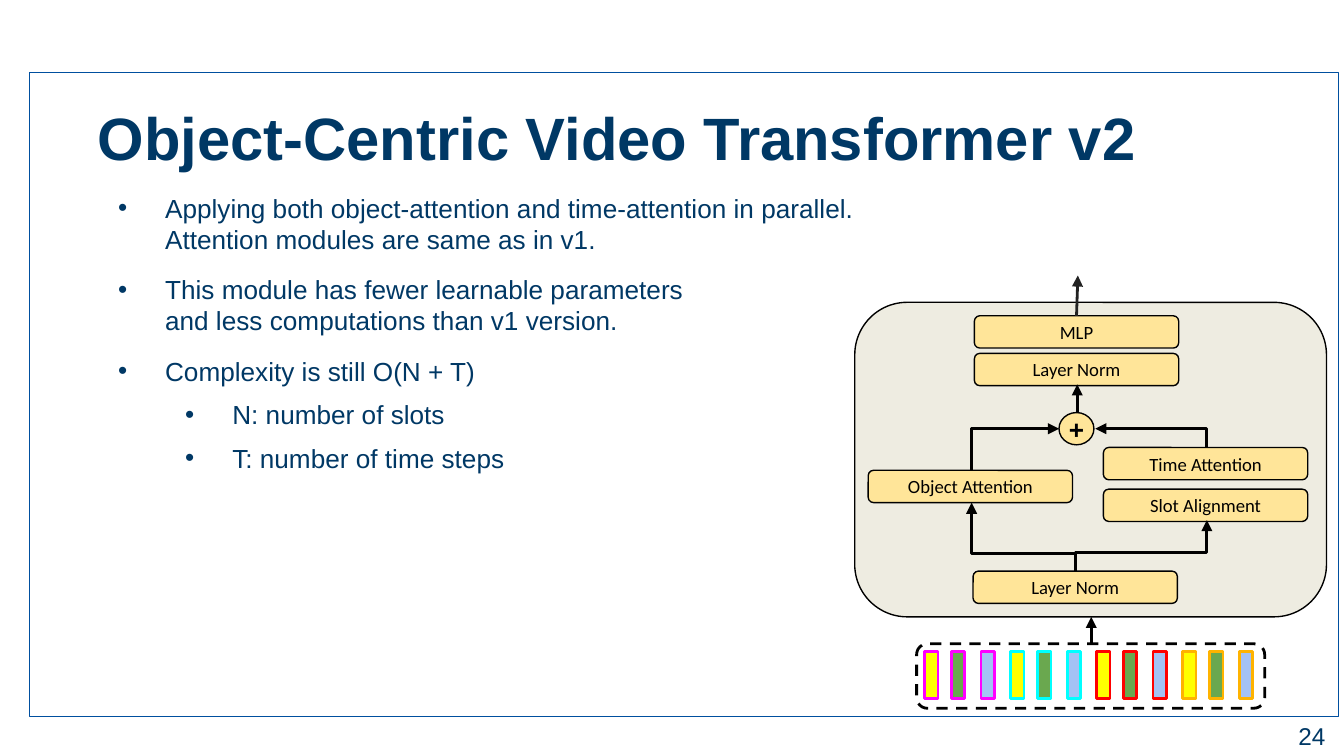
from lxml import etree
from pptx import Presentation
from pptx import util as u
from pptx.dml.color import RGBColor
from pptx.enum import dml, shapes, text
from pptx.oxml.ns import qn

color = RGBColor.from_string
NAVY, BLACK, CREAM, SAND = "003865", "000000", "FFE599", "EEECE1"

presentation = Presentation()
presentation.slide_width = u.Inches(10)
presentation.slide_height = u.Inches(5.625)
slide = presentation.slides.add_slide(presentation.slide_layouts[6])

# Square grid: 100 columns across the slide, all lengths below are in cells.
CELL = presentation.slide_width // 100


def add_box(geometry, at, fill=None, line=BLACK, weight=0.75, label="", size=10, font="Calibri"):
    """Add an outlined preset shape, optionally filled and labelled."""
    shape = slide.shapes.add_shape(geometry, *[round(value * CELL) for value in at])
    shape.shadow.inherit = False
    if fill:
        shape.fill.solid()
        shape.fill.fore_color.rgb = color(fill)
    else:
        shape.fill.background()
    shape.line.color.rgb = color(line)
    shape.line.width = u.Pt(weight)
    if label:
        frame = shape.text_frame
        frame.margin_left = frame.margin_right = frame.margin_top = frame.margin_bottom = 0
        frame.vertical_anchor = text.MSO_ANCHOR.MIDDLE
        frame.text = label
        paragraph = frame.paragraphs[0]
        paragraph.alignment = text.PP_ALIGN.CENTER
        font_format = paragraph.runs[0].font
        font_format.name, font_format.size = font, u.Pt(size)
        font_format.color.rgb = color(BLACK)
    return shape


def add_arrow(start, end, line=BLACK, bend=None):
    """Add an arrow; bend is the share of the climb before turning sideways (1 = one corner)."""
    (x1, y1), (x2, y2) = start, end
    kind = shapes.MSO_CONNECTOR.STRAIGHT
    if bend:
        # An upward elbow is a sideways one turned a quarter about its centre.
        kind = shapes.MSO_CONNECTOR.ELBOW
        middle_x, middle_y = (x1 + x2) / 2, (y1 + y2) / 2
        reach, drop = (y1 - y2) / 2, abs(x2 - x1) / 2
        side = 1 if x2 > x1 else -1
        x1, x2 = middle_x - side * reach, middle_x + side * reach
        y1, y2 = middle_y - drop, middle_y + drop
    connector = slide.shapes.add_connector(kind, *[round(value * CELL) for value in (x1, y1, x2, y2)])
    connector.line.color.rgb = color(line)
    connector.line.width = u.Pt(1.5)
    properties = connector._element.spPr
    etree.SubElement(connector.line._get_or_add_ln(), qn("a:tailEnd"), type="triangle")
    etree.SubElement(properties, qn("a:effectLst"))
    if bend:
        properties.find(qn("a:xfrm")).set("rot", str((270 if side == 1 else 90) * 60000))
        preset = properties.find(qn("a:prstGeom"))
        if bend == 1:
            preset.set("prst", "bentConnector2")
        else:
            guides = preset.find(qn("a:avLst"))
            etree.SubElement(guides, qn("a:gd"), name="adj1", fmla=f"val {round(bend * 100000)}")


RECTANGLE = shapes.MSO_SHAPE.RECTANGLE
ROUNDED = shapes.MSO_SHAPE.ROUNDED_RECTANGLE

# Slide frame and the dashed frame around the slots
add_box(RECTANGLE, (2.2, 5.4, 97.4, 47.9), line="004F9F")
slots_frame = add_box(ROUNDED, (68.2, 47.9, 25.9, 4.8), weight=1.5)
slots_frame.line.dash_style = dml.MSO_LINE.DASH

# Title, bullets and page number: place, top inset, size, bold, alignment, paragraphs.
# A paragraph is its text, left indent in cells (0 = no bullet), space before, line spacing.
texts = [
    ((6.3, 5.7, 91, 6.7), 1, 32, True, text.PP_ALIGN.LEFT,
     [("Object-Centric Video Transformer v2", 0, 0, 1.15)]),
    ((6.3, 13.8, 62.5, 33.3), 0.5, 14, False, text.PP_ALIGN.LEFT,
     [("Applying both object-attention and time-attention in parallel. "
       "Attention modules are same as in v1.", 5, 0, 1),
      ("This module has fewer learnable parameters\vand less computations than v1 version.", 5, 10, 1),
      ("Complexity is still O(N + T)", 5, 10, 1),
      ("N: number of slots", 10, 4, 1.15),
      ("T: number of time steps", 10, 4, 1.15)]),
    ((93.6, 52.7, 6, 4.3), 1, 13, False, text.PP_ALIGN.RIGHT, [("24", 0, 0, 1)]),
]
for at, inset, size, bold, alignment, lines in texts:
    frame = slide.shapes.add_textbox(*[round(value * CELL) for value in at]).text_frame
    frame.word_wrap = True
    frame.margin_top = round(inset * CELL)
    for index, (words, indent, before, spacing) in enumerate(lines):
        paragraph = frame.add_paragraph() if index else frame.paragraphs[0]
        paragraph.text = words
        paragraph.alignment = alignment
        paragraph.line_spacing = spacing
        if before:
            paragraph.space_before = u.Pt(before)
        if indent:
            paragraph.level = 1 if indent > 5 else 0
            properties = paragraph._p.get_or_add_pPr()
            properties.set("marL", str(round(indent * CELL)))
            properties.set("indent", str(round(-3.5 * CELL)))
            bullet_color = etree.SubElement(properties, qn("a:buClr"))
            etree.SubElement(bullet_color, qn("a:srgbClr"), val=NAVY)
            etree.SubElement(properties, qn("a:buFont"), typeface="Arial")
            etree.SubElement(properties, qn("a:buChar"), char="•")
        for run in paragraph.runs:
            run.font.name, run.font.size, run.font.bold = "Arial", u.Pt(size), bold
            run.font.color.rgb = color(NAVY)

# Slots: one outline colour per time step, one fill per object
for step, outline in enumerate(("FF00FF", "00FFFF", "FF0000", "FFB300")):
    for offset, fill in ((0, "FFFF00"), (2, "6AA84F"), (4.2, "A4C2F4")):
        add_box(RECTANGLE, (68.8 + 6.4 * step + offset, 48.5, 1, 3.5), fill, outline, 1.5)

# Transformer block
add_box(ROUNDED, (63.6, 22.5, 35.1, 23.4), SAND)
for label, left, top in (
    ("MLP", 72.5, 23.5),
    ("Layer Norm", 72.5, 26.3),
    ("Time Attention", 82.1, 33.3),
    ("Slot Alignment", 82.1, 36.4),
    ("Object Attention", 64.6, 35),
    ("Layer Norm", 72.4, 42.5),
):
    add_box(ROUNDED, (left, top, 15.2, 2.4), CREAM, label=label)
plus = add_box(shapes.MSO_SHAPE.OVAL, (78.8, 30.7, 2.6, 2.4), CREAM, label="+", size=14, font="Arial")
plus.text_frame.paragraphs[0].runs[0].font.bold = True

# Data flow, from the slots up to the output
add_arrow((81.2, 47.9), (81.2, 45.9))
add_arrow((80, 42.5), (72.3, 37.4), bend=0.26)
add_arrow((80, 42.5), (89.8, 38.7), bend=0.37)
add_arrow((72.3, 35), (78.8, 31.9), bend=1)
add_arrow((89.8, 33.3), (81.5, 31.9), bend=1)
add_arrow((80.15, 30.7), (80.15, 28.6))
add_arrow((80.1, 23.5), (80.2, 20.5), line="222222")

presentation.save("out.pptx")
